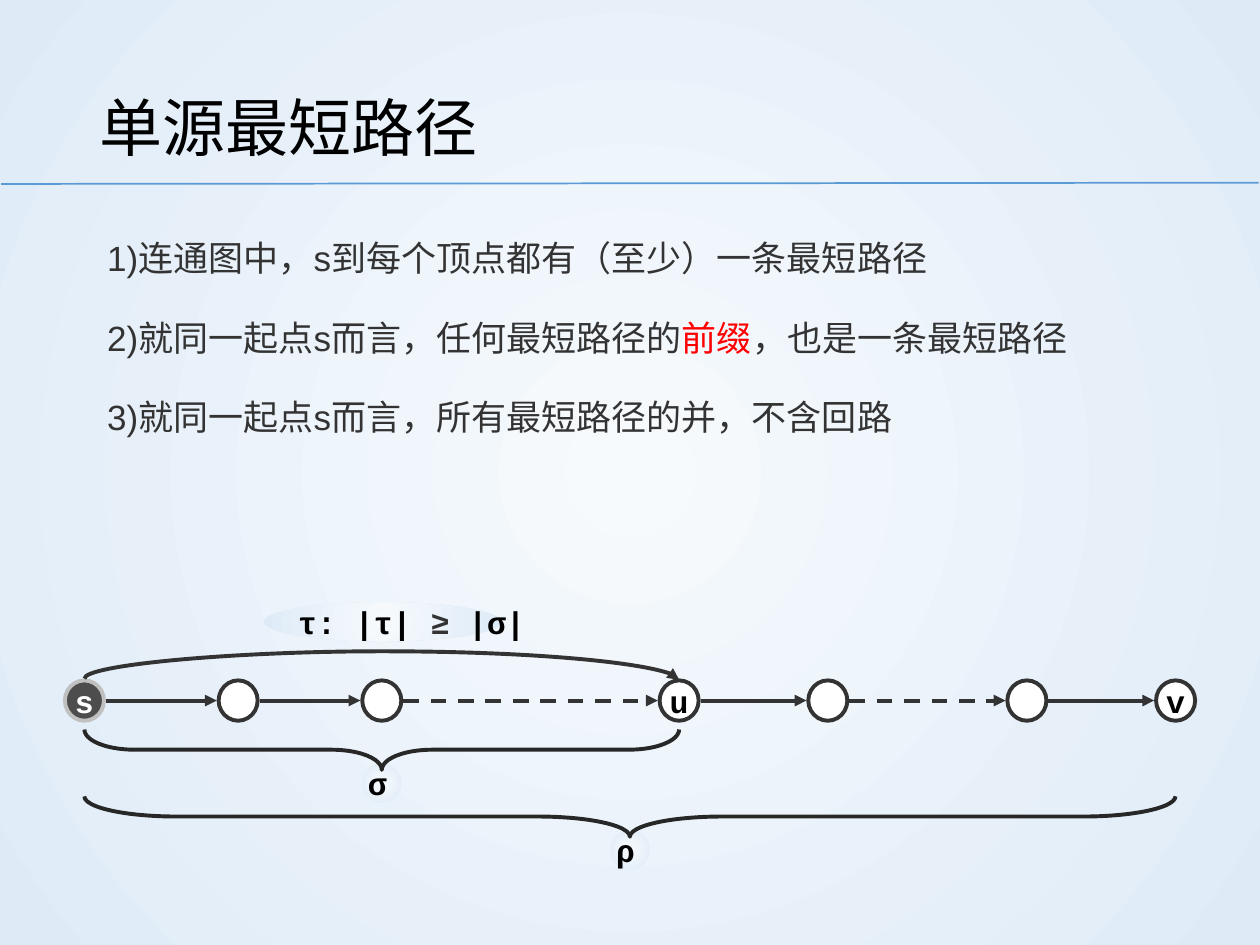
from lxml.etree import SubElement
from pptx import Presentation
from pptx.dml.color import RGBColor
from pptx.enum.dml import MSO_LINE
from pptx.enum.shapes import MSO_CONNECTOR as CONN, MSO_SHAPE as SHAPE
from pptx.enum.text import MSO_ANCHOR, PP_ALIGN
from pptx.oxml.ns import qn
from pptx.util import Inches, Pt

COLORS = {"ink": "333333", "black": "000000", "white": "FFFFFF", "red": "FF0000",
          "source": "4D4D4D", "ring": "C0C0C0", "brace": "272727",
          "rule": "5B9BD5", "center": "F7FAFD", "edge": "DEEBF7"}

# Content
TITLE = "单源最短路径"
POINTS = [
    [("1)连通图中，s到每个顶点都有（至少）一条最短路径", "ink")],
    [("2)就同一起点s而言，任何最短路径的", "ink"), ("前缀", "red"),
     ("，也是一条最短路径", "ink")],
    [("3)就同一起点s而言，所有最短路径的并，不含回路", "ink")],
]
NODES = [("s", 0.67), ("", 1.89), ("", 3.03), ("u", 5.39),
         ("", 6.57), ("", 8.15), ("v", 9.33)]  # label, center x
DASHED = {2, 4}  # edges that stand for several steps
BRACES = [(0, 6, 6.48, 2.285, "ρ"), (0, 3, 5.95, 1.246, "σ")]
DETOUR = [("τ: |τ| ", "black"), ("≥", "ink"), (" |σ|", "black")]

NODE_W, NODE_H, NODE_Y = 0.31, 0.32, 5.56
EDGE_GAP, BRACE_H = 0.17, 0.32


def rgb(name):
    return RGBColor.from_string(COLORS[name])


def radial(fill, element):
    """Gradient from the center outwards."""
    fill.gradient()
    for stop, name in zip(fill.gradient_stops, ("center", "edge")):
        stop.color.rgb = rgb(name)
    grad = next(element.iter(qn("a:gradFill")))
    grad.remove(grad.find(qn("a:lin")))
    shade = SubElement(grad, qn("a:path"), path="circle")
    SubElement(shade, qn("a:fillToRect"), l="50000", t="50000", r="50000", b="50000")


def add_runs(p, runs, **font):
    for text, color in runs:
        r = p.add_run()
        r.text = text
        for key, value in font.items():
            setattr(r.font, key, value)
        r.font.color.rgb = rgb(color)


def set_frame(tf, **values):
    for key, value in values.items():
        setattr(tf, key, value)


def add_shape(kind, x, y, w, h, fill=None, line=None):
    sp = s.shapes.add_shape(kind, Inches(x), Inches(y), Inches(w), Inches(h))
    sp.shadow.inherit = False
    if fill == "radial":
        radial(sp.fill, sp._element)
    elif fill:
        sp.fill.solid()
        sp.fill.fore_color.rgb = rgb(fill)
    else:
        sp.fill.background()
    if line:
        sp.line.color.rgb = rgb(line)
        sp.line.width = Pt(2.25)
    else:
        sp.line.fill.background()
    return sp


def label(sp, runs, align):
    set_frame(sp.text_frame, margin_left=0, margin_right=0, margin_top=0,
              margin_bottom=0, word_wrap=False, vertical_anchor=MSO_ANCHOR.MIDDLE)
    p = sp.text_frame.paragraphs[0]
    p.alignment = align
    add_runs(p, runs, size=Pt(18), name="Courier New", bold=True)


def add_line(x1, y1, x2, y2, color="ink", width=2.25, kind=CONN.STRAIGHT,
             dashed=False, arrow=True):
    c = s.shapes.add_connector(kind, *map(Inches, (x1, y1, x2, y2)))
    c.line.color.rgb = rgb(color)
    c.line.width = Pt(width)
    if dashed:
        c.line.dash_style = MSO_LINE.DASH
    if arrow:
        SubElement(c.line._get_or_add_ln(), qn("a:tailEnd"), type="triangle")
    SubElement(c._element.spPr, qn("a:effectLst"))
    return c


prs = Presentation()
prs.slide_width, prs.slide_height = Inches(10), Inches(7.5)
s = prs.slides.add_slide(prs.slide_layouts[5])
radial(s.background.fill, s._element)

# Title and rule
title = s.shapes.title
title.left, title.top, title.width, title.height = map(Inches, (0.69, 0.4, 8.62, 1.08))
title.text_frame.vertical_anchor = MSO_ANCHOR.MIDDLE
p = title.text_frame.paragraphs[0]
p.alignment, p.line_spacing = PP_ALIGN.LEFT, 1.2
add_runs(p, [(TITLE, "black")], size=Pt(36), name="Arial")
add_line(0.01, 1.46, 9.99, 1.45, "rule", 1, arrow=False)

# Numbered points
tf = s.shapes.add_textbox(*map(Inches, (0.69, 1.63, 8.62, 5.13))).text_frame
set_frame(tf, word_wrap=True, margin_left=Inches(0.16), margin_right=0,
          margin_top=Inches(0.08), margin_bottom=Inches(0.08))
for i, runs in enumerate(POINTS):
    p = tf.add_paragraph() if i else tf.paragraphs[0]
    p.line_spacing, p.space_before, p.space_after = 1.5, Pt(7), Pt(2.5)
    pPr = p._p.get_or_add_pPr()
    pPr.set("marL", str(Inches(0.29)))
    pPr.set("indent", str(-Inches(0.29)))
    add_runs(p, runs, size=Pt(20), name="Arial")

# Path nodes
for i, (text, x) in enumerate(NODES):
    fill, line, ink = ("white", "ink", "black") if i else ("source", "ring", "white")
    sp = add_shape(SHAPE.OVAL, x - NODE_W / 2, NODE_Y - NODE_H / 2,
                   NODE_W, NODE_H, fill, line)
    if text:
        label(sp, [(text, ink)], PP_ALIGN.CENTER)

# Braces with their labels
for first, last, y, curl, text in BRACES:
    x1, x2 = NODES[first][1], NODES[last][1]
    mid, span = (x1 + x2) / 2, x2 - x1
    tag = add_shape(SHAPE.OVAL, mid - NODE_W / 2, y + 0.11, NODE_W, NODE_W, "radial")
    label(tag, [(text, "black")], PP_ALIGN.LEFT)
    # Upright frame, turned about its center
    brace = add_shape(SHAPE.LEFT_BRACE, mid - BRACE_H / 2, y - span / 2,
                      BRACE_H, span, line="brace")
    brace.rotation = 270
    brace.adjustments[0] = curl
    brace.top = Inches(y - span / 2)

# Edges between neighbouring nodes
for i, ((_, x1), (_, x2)) in enumerate(zip(NODES, NODES[1:])):
    add_line(x1 + EDGE_GAP, NODE_Y, x2 - EDGE_GAP, NODE_Y, dashed=i in DASHED)

# Detour from s to u: a thin upright curve turned by 90 degrees
x1, x2, y, thin, rise = NODES[0][1], NODES[3][1], 5.39, 0.01, 0.22
mid, half = (x1 + x2) / 2, (x2 - x1) / 2
curve = add_line(mid - thin / 2, y + half, mid + thin / 2, y - half, kind=CONN.CURVE)
curve._element.spPr.find(qn("a:xfrm")).set("rot", "5400000")
guides = curve._element.spPr.find(qn("a:prstGeom")).get_or_add_avLst()
SubElement(guides, qn("a:gd"), name="adj1", fmla=f"val {round(-rise / thin * 100000)}")
label(add_shape(SHAPE.OVAL, 2.09, 4.78, 1.89, 0.31, "radial"), DETOUR, PP_ALIGN.LEFT)

prs.save("out.pptx")
